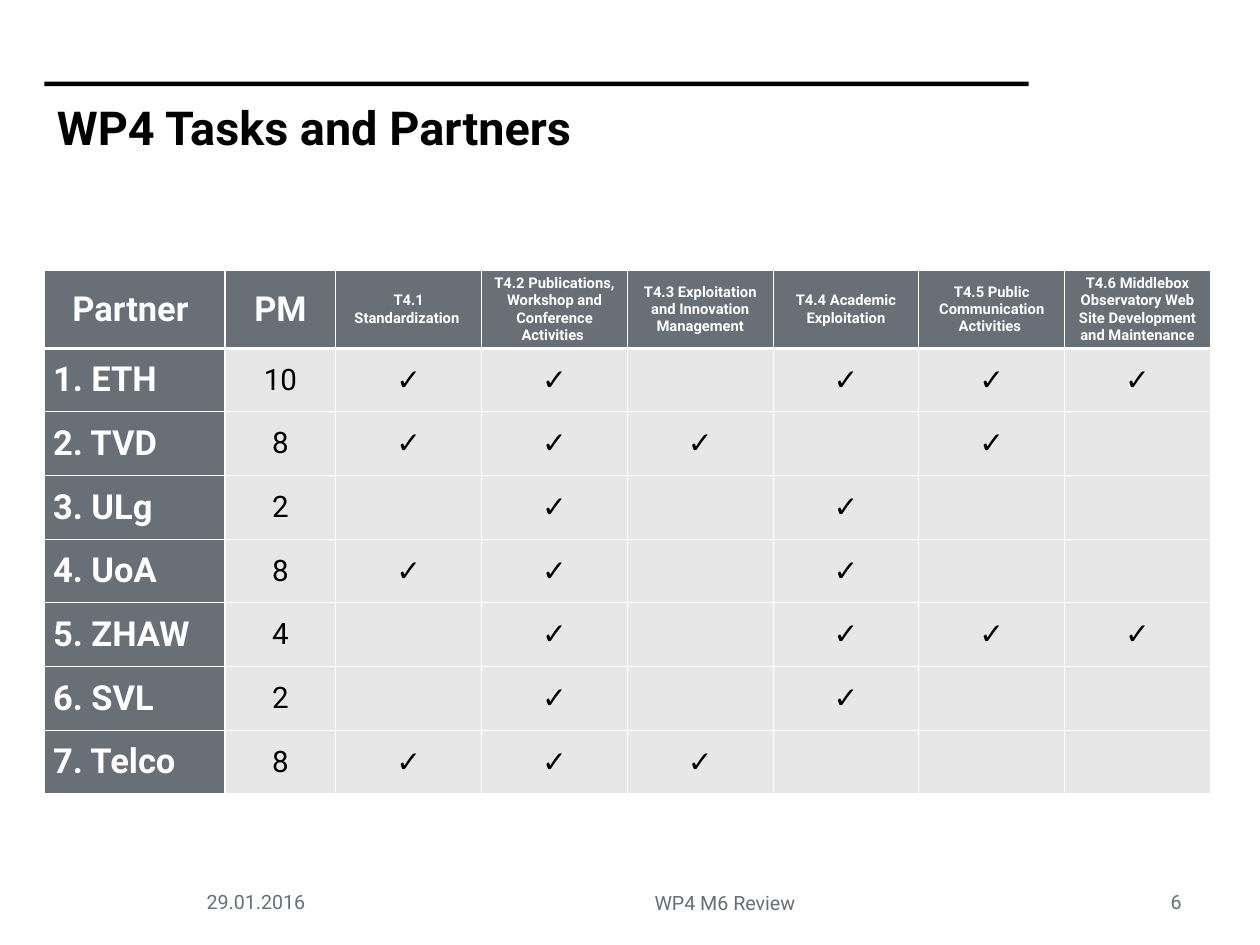
from lxml import etree
from pptx import Presentation
from pptx import util as u
from pptx.dml.color import RGBColor
from pptx.enum import shapes, text
from pptx.oxml import ns

BLACK = RGBColor(0x00, 0x00, 0x00)
WHITE = RGBColor(0xFF, 0xFF, 0xFF)
SLATE = RGBColor(0x68, 0x6F, 0x76)
LIGHT = RGBColor(0xE7, 0xE7, 0xE7)
FONT = "Roboto"
CHECK = "✓"
CENTER = text.PP_ALIGN.CENTER
LEFT = text.PP_ALIGN.LEFT
MIDDLE = text.MSO_ANCHOR.MIDDLE

TASKS = [
    "T4.1 Standardization ",
    "T4.2 Publications, Workshop and Conference Activities ",
    "T4.3 Exploitation and Innovation Management",
    "T4.4 Academic Exploitation",
    "T4.5 Public Communication Activities ",
    "T4.6 Middlebox Observatory Web Site Development and Maintenance",
]
PARTNERS = [
    ("1. ETH", 10, {1, 2, 4, 5, 6}),
    ("2. TVD", 8, {1, 2, 3, 5}),
    ("3. ULg", 2, {2, 4}),
    ("4. UoA", 8, {1, 2, 4}),
    ("5. ZHAW", 4, {2, 4, 5, 6}),
    ("6. SVL", 2, {2, 4}),
    ("7. Telco", 8, {1, 2, 3}),
]


def write(frame, words, size, color, bold=False, align=CENTER):
    para = frame.paragraphs[0]
    para.alignment = align
    span = para.add_run()
    span.text = words
    span.font.name = FONT
    span.font.size = u.Pt(size)
    span.font.bold = bold
    span.font.color.rgb = color
    return para


def add_heading(page, left, top, width, height):
    rule = page.shapes.add_shape(
        shapes.MSO_SHAPE.RECTANGLE, left, top, u.Cm(28.22), u.Cm(0.13))
    rule.shadow.inherit = False
    rule.fill.solid()
    rule.fill.fore_color.rgb = BLACK
    rule.line.fill.background()

    title = page.shapes.title
    title.left, title.top = left, top + u.Cm(0.13)
    title.width, title.height = width, height - u.Cm(0.13)
    frame = title.text_frame
    frame.auto_size = text.MSO_AUTO_SIZE.NONE
    frame.word_wrap = True
    frame.vertical_anchor = text.MSO_ANCHOR.TOP
    frame.margin_left = frame.margin_right = u.Cm(0.36)
    frame.margin_top = frame.margin_bottom = u.Cm(0.36)
    write(frame, "WP4 Tasks and Partners", 38, BLACK, True, LEFT)


def add_borders(cell, top, bottom):
    properties = cell._tc.get_or_add_tcPr()
    for side, points in (("L", 1), ("R", 1), ("T", top), ("B", bottom)):
        line = etree.SubElement(properties, ns.qn(f"a:ln{side}"), w=str(u.Pt(points)))
        fill = etree.SubElement(line, ns.qn("a:solidFill"))
        etree.SubElement(fill, ns.qn("a:srgbClr"), val=str(WHITE))


def add_partner_table(page, left, top, width, height):
    name_width, month_width, header_height = u.Cm(5.18), u.Cm(3.18), u.Cm(2.21)
    task_width = (width - name_width - month_width) // len(TASKS)
    row_height = (height - header_height) // len(PARTNERS)
    rows = [["Partner ", "PM", *TASKS]]
    for name, months, tasks in PARTNERS:
        checks = [CHECK if number in tasks else ""
                  for number in range(1, len(TASKS) + 1)]
        rows.append([name, str(months), *checks])

    table = page.shapes.add_table(
        len(rows), len(rows[0]), left, top, width, height).table
    for index, column in enumerate(table.columns):
        column.width = (name_width, month_width)[index] if index < 2 else task_width
    for index, row in enumerate(table.rows):
        row.height = row_height if index else header_height

    for y, row in enumerate(rows):
        for x, words in enumerate(row):
            cell = table.cell(y, x)
            is_heading = y == 0 or x == 0
            add_borders(cell, 3 if y == 1 else 1, 3 if y == 0 else 1)
            cell.fill.solid()
            cell.fill.fore_color.rgb = SLATE if is_heading else LIGHT
            cell.vertical_anchor = MIDDLE
            if not words:
                continue
            if is_heading:
                size = 28 if x < 2 else 12
                align = LEFT if x == 0 and y > 0 else CENTER
                write(cell.text_frame, words, size, WHITE, True, align)
            else:
                write(cell.text_frame, words, 24, BLACK)


def add_footer_item(page, words, left, top, width, height):
    box = page.shapes.add_textbox(left, top, width, height)
    box.text_frame.word_wrap = True
    box.text_frame.vertical_anchor = MIDDLE
    return write(box.text_frame, words, 16, SLATE)


def add_footer(page, left, top, width, height):
    number_width = u.Cm(2)
    add_footer_item(page, "29.01.2016", left, top, u.Cm(3.5), height)
    review = add_footer_item(
        page, "WP4 M6 Review ", left + u.Cm(4.06), top, u.Cm(22.4), height)
    review.line_spacing = 1.1
    review.space_before = u.Pt(7)
    add_footer_item(page, "6", left + width - number_width, top, number_width, height)


def main():
    deck = Presentation()
    deck.slide_width, deck.slide_height = u.Cm(36.12), u.Cm(27.1)
    page = deck.slides.add_slide(deck.slide_layouts[5])
    add_heading(page, u.Cm(1.27), u.Cm(2.34), u.Cm(27.5), u.Cm(3.96))
    add_partner_table(page, u.Cm(1.27), u.Cm(7.75), u.Cm(33.43), u.Cm(14.99))
    add_footer(page, u.Cm(5.59), u.Cm(25.35), u.Cm(29.13), u.Cm(1))
    deck.save("out.pptx")


if __name__ == "__main__":
    main()
